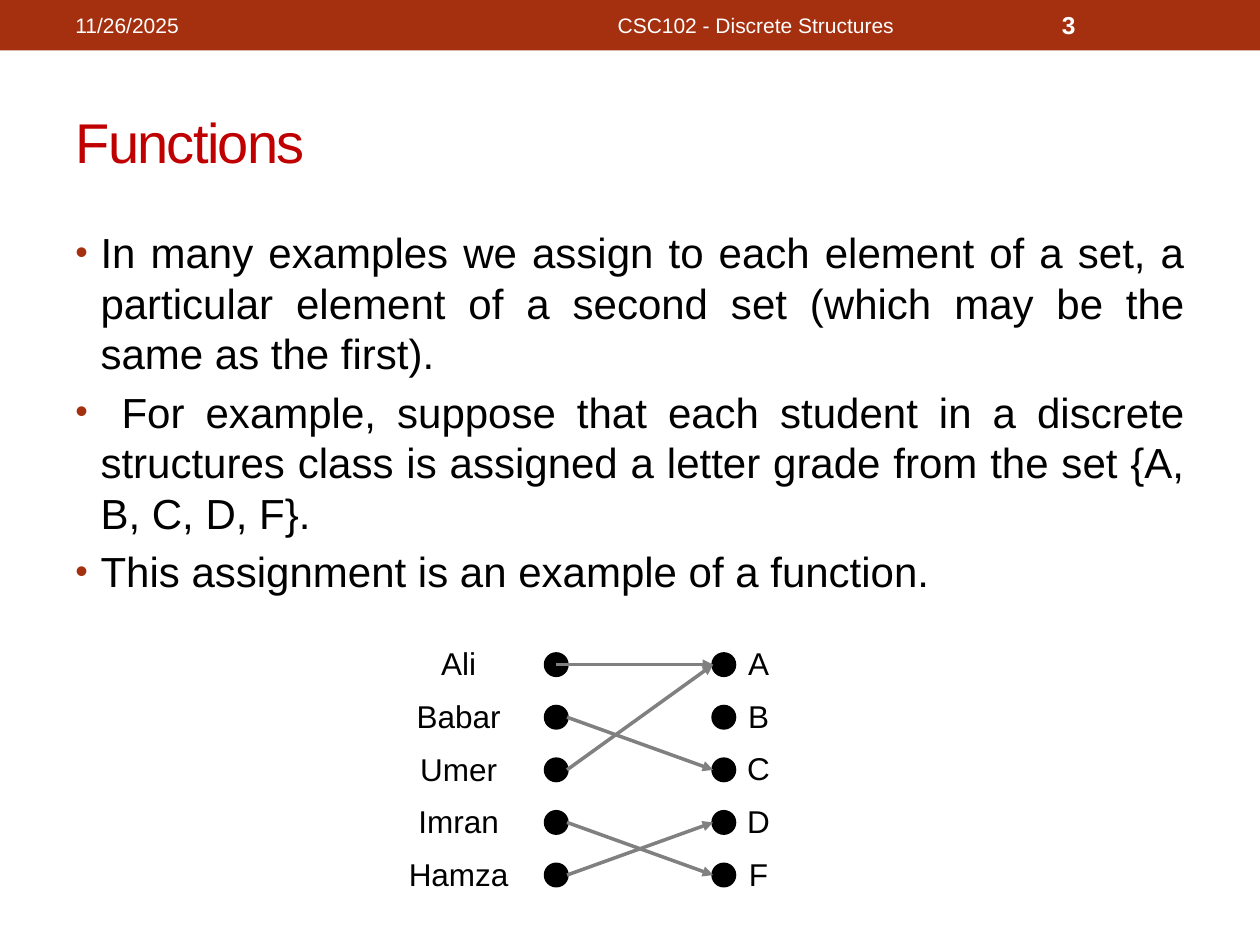
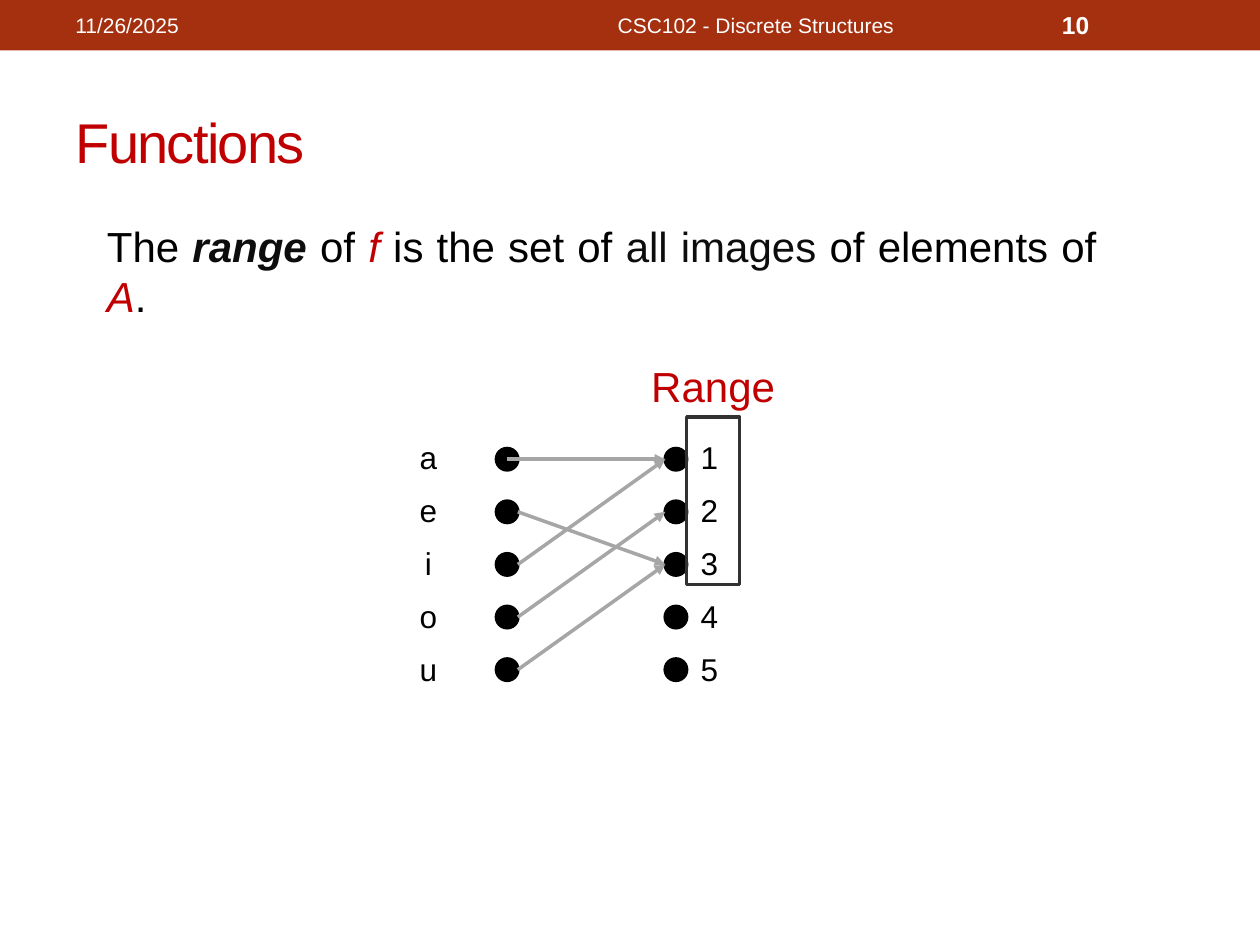
from lxml.etree import SubElement
from pptx import Presentation
from pptx.dml.color import RGBColor
from pptx.enum.shapes import MSO_CONNECTOR as CONNECTOR, MSO_SHAPE as SHAPE
from pptx.enum.text import MSO_ANCHOR as ANCHOR, PP_ALIGN as ALIGN
from pptx.oxml.ns import qn
from pptx.util import Inches, Pt

COLORS = {
    "band": "A5300F",
    "accent": "C00000",
    "text": "000000",
    "soft": "0D0D0D",
    "white": "FFFFFF",
    "frame": "323232",
}
FONT = "Arial"
DOT = 0.17
ROW_STEP = 1.67 / 4


def style_run(run, size, color, bold=False, italic=False):
    run.font.name = FONT
    run.font.size = Pt(size)
    run.font.bold = bold
    run.font.italic = italic
    run.font.color.rgb = RGBColor.from_string(COLORS[color])


def add_text(shapes, box, text, size, color="text", align=ALIGN.LEFT, anchor=ANCHOR.TOP,
             wrap=True, bold=False, spacing=None):
    shape = shapes.add_textbox(*map(Inches, box))
    text_frame = shape.text_frame
    text_frame.word_wrap = wrap
    text_frame.vertical_anchor = anchor
    text_frame.text = text
    for paragraph in text_frame.paragraphs:
        paragraph.alignment = align
        paragraph.line_spacing = spacing
        for run in paragraph.runs:
            style_run(run, size, color, bold)
    return text_frame


presentation = Presentation()
presentation.slide_width = Inches(10)
presentation.slide_height = Inches(7.5)

diagrams = [
    {
        "number": "3",
        "left": 4.33, "right": 5.66, "top": 5.19, "arrow": "808080",
        "domain": ["Ali", "Babar", "Umer", "Imran", "Hamza"],
        "domain_box": (2.92, 4.94, 1.44, 2.22), "domain_wrap": True,
        "codomain": ["A", "B", "C", "D", "F"],
        "codomain_box": (5.83, 4.94, 0.38, 2.2),
        "targets": [0, 2, 0, 4, 3],
    },
    {
        "number": "10",
        "left": 3.94, "right": 5.28, "top": 3.56, "arrow": "A6A6A6",
        "domain": ["a", "e", "i", "o", "u"],
        "domain_box": (3.23, 3.31, 0.34, 2.2), "domain_wrap": False,
        "codomain": ["1", "2", "3", "4", "5"],
        "codomain_box": (5.46, 3.31, 0.34, 2.2),
        "targets": [0, 2, 0, 1, 2],
    },
]

slides = []
for diagram in diagrams:
    slide = presentation.slides.add_slide(presentation.slide_layouts[5])
    slides.append(slide)

    band = slide.shapes.add_shape(SHAPE.RECTANGLE, 0, 0, Inches(10), Inches(0.4))
    band.shadow.inherit = False
    band.fill.solid()
    band.fill.fore_color.rgb = RGBColor.from_string(COLORS["band"])
    band.line.fill.background()

    title = slide.shapes.title
    title.left, title.top, title.width, title.height = map(Inches, (0.5, 0.58, 9, 1.08))
    title.text_frame.text = "Functions"
    title.text_frame.vertical_anchor = ANCHOR.MIDDLE
    heading = title.text_frame.paragraphs[0]
    heading.alignment = ALIGN.LEFT
    style_run(heading.runs[0], 32, "accent")
    heading.runs[0].font._element.set("spc", "-100")

    for left, width, text, size, align, bold in [
        (0.5, 3.17, "11/26/2025", 12, ALIGN.LEFT, False),
        (3.75, 4.5, "CSC102 - Discrete Structures", 12, ALIGN.CENTER, False),
        (8.33, 1.17, diagram["number"], 14, ALIGN.LEFT, True),
    ]:
        add_text(slide.shapes, (left, 0.02, width, 0.36), text, size, "white",
                 align, ANCHOR.MIDDLE, bold=bold)

    mapping = slide.shapes.add_group_shape().shapes
    for column in ("left", "right"):
        for row in range(5):
            dot = mapping.add_shape(
                SHAPE.OVAL, Inches(diagram[column]), Inches(diagram["top"] + row * ROW_STEP),
                Inches(DOT), Inches(DOT))
            dot.shadow.inherit = False
            dot.fill.solid()
            dot.fill.fore_color.rgb = RGBColor.from_string(COLORS["text"])
            dot.line.color.rgb = RGBColor.from_string(COLORS["text"])
            dot.line.width = Pt(2)

    for side, wrap in (("domain", diagram["domain_wrap"]), ("codomain", False)):
        add_text(mapping, diagram[side + "_box"], "\n".join(diagram[side]), 18,
                 align=ALIGN.CENTER, wrap=wrap, spacing=1.4)

    for source, target in enumerate(diagram["targets"]):
        start = diagram["left"] + (DOT / 2 if source == 0 else DOT)
        middle = diagram["top"] + DOT / 2
        arrow = mapping.add_connector(
            CONNECTOR.STRAIGHT, Inches(start), Inches(middle + source * ROW_STEP),
            Inches(diagram["right"]), Inches(middle + target * ROW_STEP))
        arrow.line.color.rgb = RGBColor.from_string(diagram["arrow"])
        arrow.line.width = Pt(2)
        SubElement(arrow.line._get_or_add_ln(), qn("a:tailEnd"), type="triangle")
        SubElement(arrow._element.spPr, qn("a:effectLst"))

intro_slide, range_slide = slides

body = add_text(
    intro_slide.shapes, (0.5, 1.75, 9, 3.2),
    "In many examples we assign to each element of a set, a particular element of a second set "
    "(which may be the same as the first).\n"
    " For example, suppose that each student in a discrete structures class is assigned "
    "a letter grade from the set {A, B, C, D, F}.\n"
    "This assignment is an example of a function.",
    24, align=ALIGN.JUSTIFY)
for index, paragraph in enumerate(body.paragraphs):
    paragraph.space_before = Pt(4.8 if index else 0)
    properties = paragraph._element.get_or_add_pPr()
    properties.set("marL", str(Inches(0.2)))
    properties.set("indent", str(-Inches(0.2)))
    bullet_color = SubElement(properties, qn("a:buClr"))
    SubElement(bullet_color, qn("a:srgbClr"), val=COLORS["band"])
    SubElement(properties, qn("a:buSzPct"), val="85000")
    SubElement(properties, qn("a:buFont"), typeface=FONT)
    SubElement(properties, qn("a:buChar"), char="•")

range_frame = range_slide.shapes.add_shape(
    SHAPE.RECTANGLE, Inches(5.45), Inches(3.31), Inches(0.42), Inches(1.33))
range_frame.shadow.inherit = False
range_frame.fill.background()
range_frame.line.color.rgb = RGBColor.from_string(COLORS["frame"])
range_frame.line.width = Pt(2)
add_text(range_slide.shapes, (5.06, 2.81, 1.2, 0.5), "Range", 24, "accent",
         ALIGN.CENTER, wrap=False)

definition = add_text(range_slide.shapes, (0.75, 1.7, 8.05, 1.21), "", 24,
                      align=ALIGN.JUSTIFY).paragraphs[0]
for text, color, bold, italic in [
    ("The ", "text", False, False),
    ("range", "soft", True, True),
    (" of ", "text", False, False),
    ("f ", "accent", False, True),
    ("is the set of ", "text", False, False),
    ("all images ", "soft", False, False),
    ("of elements of ", "text", False, False),
    ("A", "accent", False, True),
    (".", "text", False, False),
]:
    run = definition.add_run()
    run.text = text
    style_run(run, 24, color, bold, italic)

presentation.save("out.pptx")
